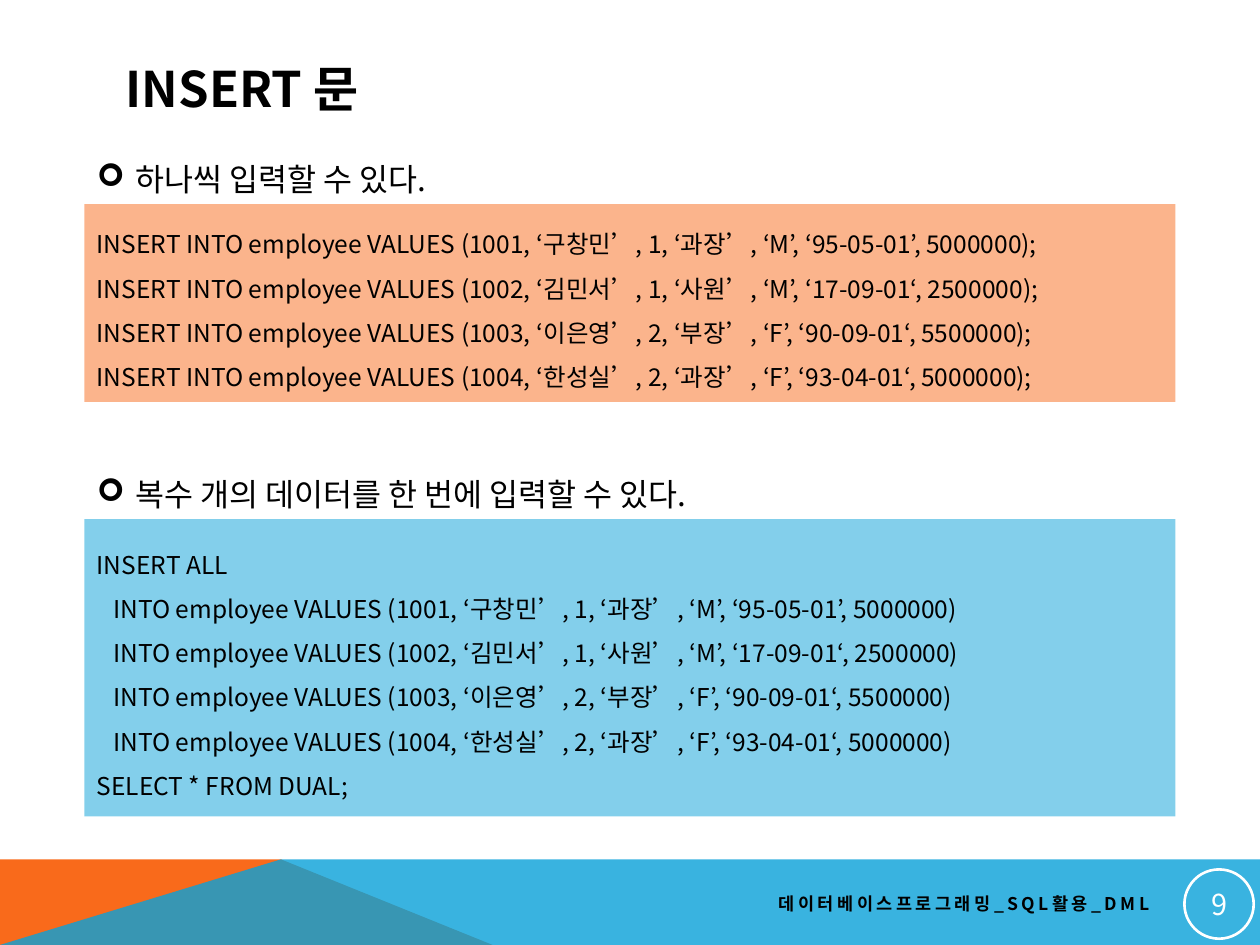
from dataclasses import dataclass

from lxml import etree
from pptx import Presentation
from pptx.dml.color import RGBColor
from pptx.enum import shapes, text
from pptx.oxml.ns import qn
from pptx.util import Inches, Pt


@dataclass(frozen=True)
class Theme:
    font: str = "Noto Sans CJK KR"
    ink: str = "000000"
    white: str = "FFFFFF"
    orange: str = "F96A1B"
    blue: str = "08A1D9"
    title: float = 28
    heading: float = 18
    code: float = 14
    footer: float = 10
    number: float = 16.5


class SlideBuilder:
    def __init__(self, slide, theme):
        self.slide = slide
        self.theme = theme

    def paint(self, shape, color, opacity=100):
        shape.shadow.inherit = False
        shape.line.fill.background()
        shape.fill.solid()
        shape.fill.fore_color.rgb = RGBColor.from_string(color)
        if opacity < 100:
            color_node = shape.fill._xPr.find(qn("a:solidFill"))[0]
            etree.SubElement(color_node, qn("a:alpha"), val=str(opacity * 1000))

    def style(self, para, size, color=None, bold=False, spacing=0):
        for span in para.runs:
            font = span.font
            font.name, font.size, font.bold = self.theme.font, Pt(size), bold
            font.color.rgb = RGBColor.from_string(color or self.theme.ink)
            etree.SubElement(font._element, qn("a:ea"), typeface=self.theme.font)
            if spacing:
                font._element.set("spc", str(spacing * 100))

    def indent(self, para, left, first=0):
        props = para._p.get_or_add_pPr()
        props.set("marL", str(Inches(left)))
        props.set("indent", str(Inches(first)))
        return props

    def polygon(self, points, color, opacity=100):
        start, *others = [(Inches(x), Inches(y)) for x, y in points]
        builder = self.slide.shapes.build_freeform(*start)
        builder.add_line_segments(others, close=True)
        self.paint(builder.convert_to_shape(), color, opacity)

    def label(self, place, words, size, wrap=True, align=text.PP_ALIGN.LEFT,
              anchor=text.MSO_ANCHOR.MIDDLE, **look):
        box = self.slide.shapes.add_textbox(*map(Inches, place))
        frame = box.text_frame
        frame.word_wrap = wrap
        frame.vertical_anchor = anchor
        frame.text = words
        para = frame.paragraphs[0]
        para.alignment = align
        self.style(para, size, **look)
        return para

    def bullet(self, place, words):
        para = self.label(place, words, self.theme.heading, wrap=False,
                          anchor=text.MSO_ANCHOR.TOP)
        props = self.indent(para, 0.31, -0.31)
        etree.SubElement(props, qn("a:buFont"), typeface="Wingdings")
        etree.SubElement(props, qn("a:buChar"), char="➢")

    def code_panel(self, place, lines, color):
        panel = self.slide.shapes.add_shape(
            shapes.MSO_SHAPE.RECTANGLE, *map(Inches, place))
        self.paint(panel, color, 50)
        frame = panel.text_frame
        frame.word_wrap = True
        frame.vertical_anchor = text.MSO_ANCHOR.MIDDLE
        frame.text = "\n".join(words for words, _ in lines)
        for para, (_, left) in zip(frame.paragraphs, lines):
            para.alignment = text.PP_ALIGN.LEFT
            para.line_spacing = 1.5
            self.indent(para, left)
            self.style(para, self.theme.code)

    def badge(self, place, words):
        ring = self.slide.shapes.add_shape(
            shapes.MSO_SHAPE.OVAL, *map(Inches, place))
        ring.shadow.inherit = False
        ring.fill.background()
        ring.line.color.rgb = RGBColor.from_string(self.theme.white)
        ring.line.width = Pt(1.5)
        frame = ring.text_frame
        frame.margin_left = frame.margin_right = Inches(0.01)
        frame.margin_top = frame.margin_bottom = Inches(0.01)
        frame.vertical_anchor = text.MSO_ANCHOR.MIDDLE
        frame.text = words
        frame.paragraphs[0].alignment = text.PP_ALIGN.CENTER
        self.style(frame.paragraphs[0], self.theme.number, self.theme.white)


# Deck
theme = Theme()
deck = Presentation()
deck.slide_width, deck.slide_height = Inches(10), Inches(7.5)
page = SlideBuilder(deck.slides.add_slide(deck.slide_layouts[6]), theme)

# Footer band
band_top, band_bottom, peak = 6.82, 7.5, 2.23
page.polygon([(0, band_bottom), (0, band_top), (peak, band_top),
              (3.91, band_bottom)], theme.orange)
page.polygon([(0, band_bottom), (peak, band_top), (10, band_top),
              (10, band_bottom)], theme.blue, 80)
page.badge((9.4, 6.9, 0.55, 0.55), "9")
page.label((3.58, 7.02, 5.64, 0.3), "데이터베이스프로그래밍_SQL활용_DML", theme.footer,
           align=text.PP_ALIGN.RIGHT, bold=True, spacing=2)

# Title
page.label((0.9, 0.4, 8.22, 0.6), "INSERT 문", theme.title, bold=True)

# Employee rows shared by both statements
employees = [
    "1001, ‘구창민’, 1, ‘과장’, ‘M’, ‘95-05-01’, 5000000",
    "1002, ‘김민서’, 1, ‘사원’, ‘M’, ‘17-09-01‘, 2500000",
    "1003, ‘이은영’, 2, ‘부장’, ‘F’, ‘90-09-01‘, 5500000",
    "1004, ‘한성실’, 2, ‘과장’, ‘F’, ‘93-04-01‘, 5000000",
]
clauses = [f"INTO employee VALUES ({row})" for row in employees]
single_inserts = [(f"INSERT {clause};", 0) for clause in clauses]
insert_all = [("INSERT ALL", 0), *((clause, 0.13) for clause in clauses),
              ("SELECT * FROM DUAL;", 0)]

# Sections: heading directly above its code panel
left, heading_height = 0.67, 0.4
sections = [
    (1.22, 3.11, "하나씩 입력할 수 있다.", 1.57, single_inserts, theme.orange),
    (3.72, 5.49, "복수 개의 데이터를 한 번에 입력할 수 있다.", 2.36, insert_all, theme.blue),
]
for top, width, heading, height, lines, color in sections:
    page.bullet((left, top, width, heading_height), heading)
    page.code_panel((left, top + heading_height, 8.66, height), lines, color)

deck.save("out.pptx")
